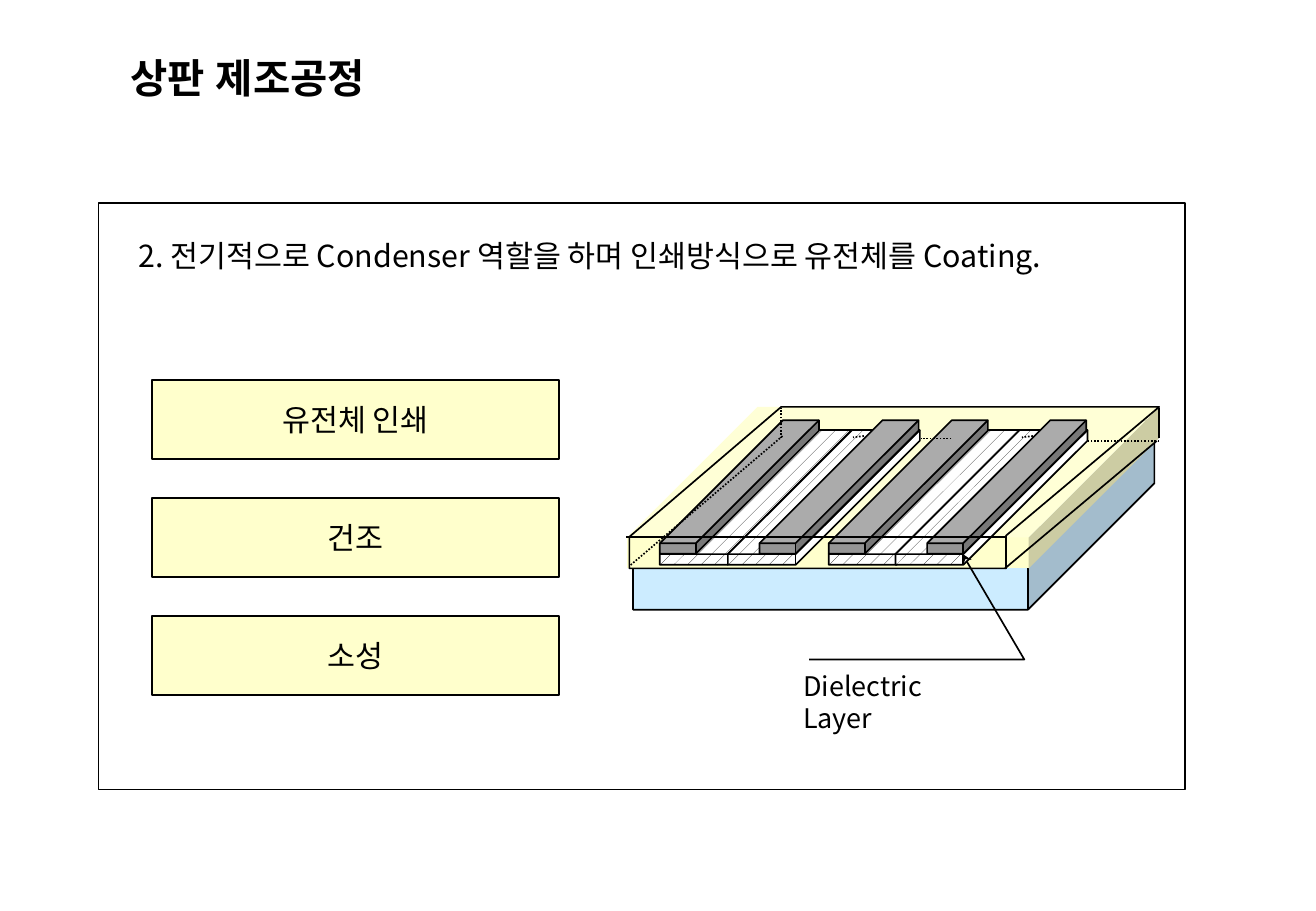
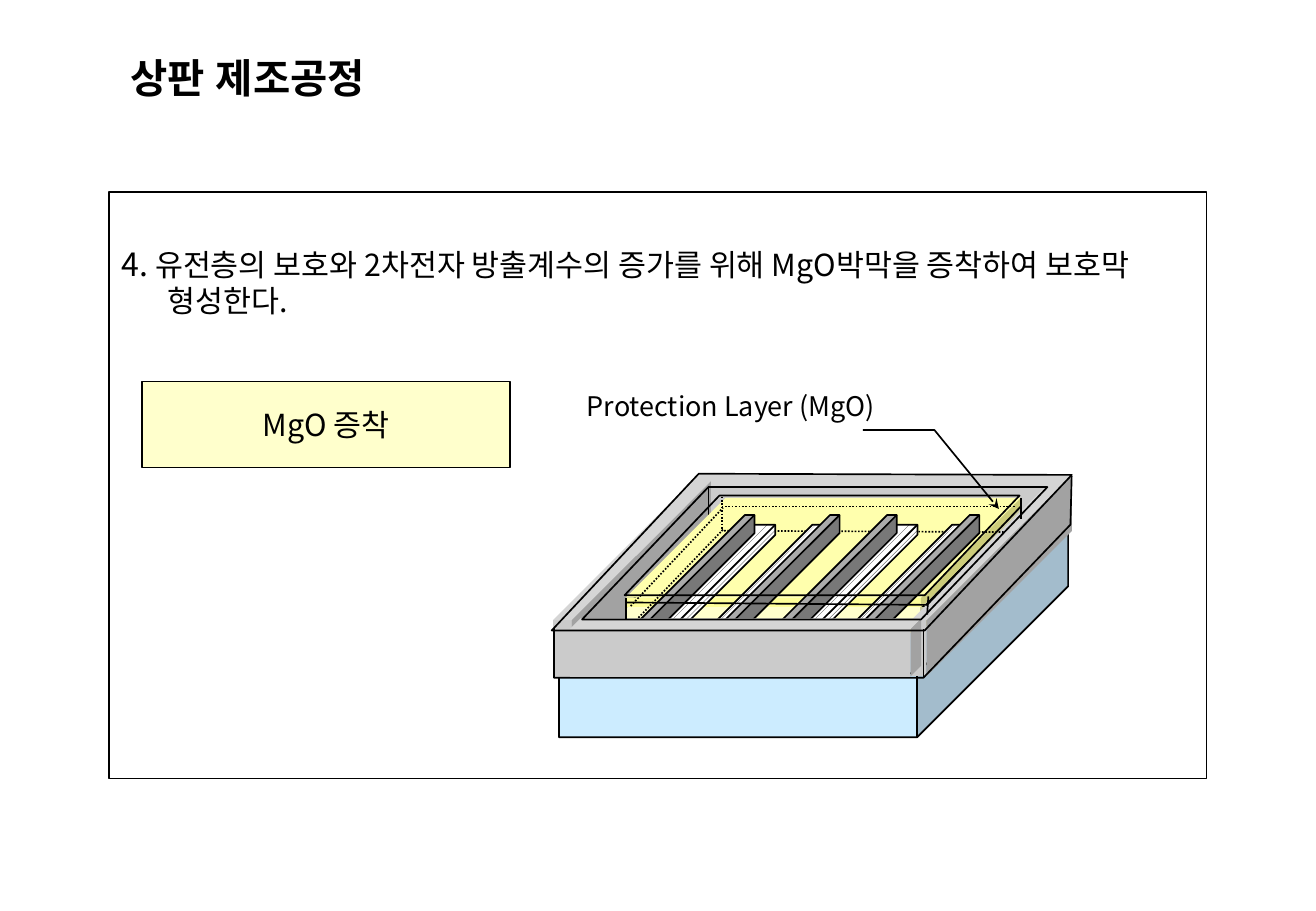
from lxml import etree
from pptx import Presentation
from pptx.dml.color import RGBColor
from pptx.enum import dml, shapes, text
from pptx.oxml import ns
from pptx.util import Inches, Pt

BLACK = RGBColor(0x00, 0x00, 0x00)
WHITE = RGBColor(0xFF, 0xFF, 0xFF)
GLASS = RGBColor(0xCC, 0xEC, 0xFF)
CREAM = RGBColor(0xFF, 0xFF, 0xCC)
YELLOW = RGBColor(0xFF, 0xFF, 0x99)
GREY = RGBColor(0x96, 0x96, 0x96)
SILVER = RGBColor(0xCB, 0xCB, 0xCB)
FONT = "Noto Sans CJK KR"
TITLE = "상판 제조공정"
SLANT = 0.921


def sub(node, tag, **atts):
    return etree.SubElement(node, ns.qn(tag), **atts)


def style(para, size, name=FONT, bold=False):
    """Format a paragraph, its Korean letters included."""
    font = para.font
    font.size, font.bold, font.name = Pt(size), bold, name
    font.color.rgb = BLACK
    sub(para._p.pPr.find(ns.qn("a:defRPr")), "a:ea", typeface=name)


def pen(line, dots=False):
    line.color.rgb = BLACK
    line.width = Pt(1)
    if dots:
        line.dash_style = dml.MSO_LINE.ROUND_DOT


def start(prs):
    slide = prs.slides.add_slide(prs.slide_layouts[5])
    title = slide.shapes.title
    title.left, title.top = Inches(0.97), Inches(0.39)
    title.width, title.height = Inches(9.23), Inches(0.61)
    frame = title.text_frame
    frame.text = TITLE
    frame.vertical_anchor = text.MSO_ANCHOR.TOP
    para = frame.paragraphs[0]
    para.alignment = text.PP_ALIGN.LEFT
    style(para, 24, "Arial", True)
    return slide


def solid(slide, kind, area, fill, edge=True):
    """Add a preset shape; without a fill it stays open."""
    shape = slide.shapes.add_shape(kind, *map(Inches, area))
    shape.shadow.inherit = False
    if fill is None:
        shape.fill.background()
    else:
        shape.fill.solid()
        shape.fill.fore_color.rgb = fill
    if edge:
        pen(shape.line)
    else:
        shape.line.fill.background()
    return shape


def panel(slide, *area):
    solid(slide, shapes.MSO_SHAPE.RECTANGLE, area, None)


def step(slide, words, *area):
    box = solid(slide, shapes.MSO_SHAPE.RECTANGLE, area, CREAM)
    frame = box.text_frame
    frame.word_wrap = False
    frame.vertical_anchor = text.MSO_ANCHOR.MIDDLE
    frame.text = words
    para = frame.paragraphs[0]
    para.alignment = text.PP_ALIGN.CENTER
    style(para, 18)


def cube(slide, area, depth, fill, edge=False):
    shape = solid(slide, shapes.MSO_SHAPE.CUBE, area, fill, edge)
    shape.adjustments[0] = depth
    return shape


def strip(slide, *area):
    """Add a dotted transparent electrode."""
    fill = cube(slide, area, SLANT, WHITE, True).fill
    fill.patterned()
    fill.pattern = dml.MSO_PATTERN.PERCENT_10
    fill.fore_color.rgb, fill.back_color.rgb = BLACK, WHITE


def bar(slide, *area):
    cube(slide, area, SLANT, GREY, True)


def rules(slide, ends, dots=False):
    """Add one straight line for each (x1, y1, x2, y2)."""
    for end in ends:
        line = slide.shapes.add_connector(
            shapes.MSO_CONNECTOR.STRAIGHT, *map(Inches, end))
        pen(line.line, dots)
        sub(line._element.spPr, "a:effectLst")


def trace(slide, *spots, arrow=False):
    """Draw an unfilled outline; the arrowhead sits on the first spot."""
    pts = [(Inches(x), Inches(y)) for x, y in spots]
    form = slide.shapes.build_freeform(*pts[0])
    form.add_line_segments(pts[1:], close=False)
    shape = form.convert_to_shape()
    shape.shadow.inherit = False
    shape.fill.background()
    pen(shape.line)
    if arrow:
        sub(shape.line._get_or_add_ln(), "a:headEnd", type="stealth")


def note(slide, words, area, size):
    box = slide.shapes.add_textbox(*map(Inches, area))
    frame = box.text_frame
    frame.word_wrap = True
    frame.text = words
    para = frame.paragraphs[0]
    style(para, size)
    return frame, para


def label(slide, words, *area):
    frame, _ = note(slide, words, area, 16)
    frame.margin_left = frame.margin_right = Inches(0.02)
    frame.margin_top = frame.margin_bottom = Inches(0.01)


def coat(prs):
    """Dielectric printing slide."""
    slide = start(prs)
    panel(slide, 0.81, 1.67, 8.94, 4.83)
    note(slide, "2. 전기적으로 Condenser 역할을 하며 인쇄방식으로 유전체를 Coating.",
         (1.04, 1.9, 8.64, 0.83), 18)
    cube(slide, (5.21, 3.46, 4.29, 1.56), 0.667, GLASS, True)
    label(slide, "Dielectric\vLayer", 6.59, 5.5, 1.59, 0.56)
    cube(slide, (5.16, 3.35, 4.38, 1.33), 0.808, CREAM)
    for x in (5.43, 5.99, 6.82, 7.37):
        strip(slide, x, 3.54, 1.58, 1.11)
    for x in (5.43, 6.25, 6.82, 7.63):
        bar(slide, x, 3.46, 1.31, 1.1)
    rules(slide, [(9.54, 3.61, 9.54, 3.36), (9.52, 3.63, 8.27, 4.68),
                  (8.27, 4.42, 5.15, 4.42)])
    rules(slide, [(6.44, 3.59, 5.18, 4.66), (6.43, 3.61, 6.43, 3.36),
                  (9.54, 3.63, 8.95, 3.63), (7.83, 3.61, 7.58, 3.61),
                  (7.11, 3.59, 7.02, 3.6), (8.5, 3.59, 8.41, 3.6)], True)
    trace(slide, (7.92, 4.56), (8.43, 5.43), (6.66, 5.43), arrow=True)
    trace(slide, (9.54, 3.35), (8.28, 4.41), (8.28, 4.68), (5.18, 4.68),
          (5.18, 4.42), (6.43, 3.35), (9.54, 3.35))
    for i, words in enumerate(("유전체 인쇄", "건조", "소성")):
        step(slide, words, 1.25, 3.13 + 0.97 * i, 3.35, 0.65)


def wall(slide):
    """Glass plate, frame and the lower yellow layer."""
    cube(slide, (4.6, 4.3, 4.19, 1.77), 0.702, GLASS, True)
    cube(slide, (5.64, 3.91, 3.07, 0.41), 0.236, SILVER)
    cube(slide, (4.55, 3.96, 1.3, 1.61), 0.882, SILVER)
    cube(slide, (5.15, 4.17, 3.24, 1.04), 0.786, CREAM)
    rules(slide, [(7.54, 5.14, 5.03, 5.12), (5.15, 5, 5.92, 4.17),
                  (8.41, 4.16, 5.91, 4.17)])
    cube(slide, (7.5, 3.91, 1.32, 1.66), 0.906, SILVER)
    trace(slide, (8.82, 3.92), (8.81, 4.32), (7.6, 5.58), (4.56, 5.58),
          (4.56, 5.17))
    rules(slide, [(7.6, 5.58, 7.6, 5.18), (5.83, 4, 5.83, 4.27),
                  (5.15, 4.98, 7.61, 4.99), (7.62, 4.98, 8.39, 4.18)])


def layer(slide):
    """Yellow protection layer with electrodes and the front wall."""
    cube(slide, (5.15, 4.1, 3.25, 0.9), 0.912, YELLOW)
    rules(slide, [(8.26, 4.38, 5.94, 4.37)], True)
    for x in (5.2, 5.71, 6.37, 6.86):
        strip(slide, x, 4.32, 1.18, 1.06)
    for x in (5.21, 5.91, 6.38, 7.06):
        bar(slide, x, 4.24, 1, 1.07)
    rules(slide, [(5.94, 4.09, 5.94, 4.37), (5.95, 4.36, 5.25, 5.09)], True)
    cube(slide, (4.69, 5.09, 2.89, 0.48), 0.184, SILVER)
    trace(slide, (8.82, 3.91), (7.61, 5.19), (4.54, 5.19), (5.75, 3.9),
          (8.82, 3.91))
    trace(slide, (8.62, 4.01), (5.83, 4.01), (4.79, 5.1), (7.58, 5.1),
          (8.62, 4.01))
    rules(slide, [(5.19, 4.99, 5.95, 4.18), (5.94, 4.17, 8.36, 4.17)], True)
    rules(slide, [(8.4, 4.1, 8.4, 4.27), (7.64, 4.91, 7.63, 5.06),
                  (5.15, 4.92, 5.15, 5.1)])
    trace(slide, (8.4, 4.17), (7.63, 4.98), (5.16, 4.96))
    trace(slide, (8.39, 4.08), (5.92, 4.08), (5.14, 4.9), (7.61, 4.9),
          (8.39, 4.08))


def guard(prs):
    """MgO protection slide."""
    slide = start(prs)
    panel(slide, 0.9, 1.58, 9.03, 4.83)
    wall(slide)
    layer(slide)
    trace(slide, (8.22, 4.19), (7.69, 3.54), (7.1, 3.54), arrow=True)
    label(slide, "Protection Layer (MgO)", 4.81, 3.2, 3.46, 0.29)
    step(slide, "MgO 증착", 1.17, 3.14, 3.03, 0.71)
    _, para = note(slide, "4. ", (0.9, 1.96, 9, 1.04), 18)
    para.runs[0].font.size = Pt(19)
    para.add_run().text = ("유전층의 보호와 2차전자 방출계수의 증가를 위해 "
                           "MgO박막을 증착하여 보호막 형성한다.")
    para._p.pPr.set("marL", str(Inches(0.38)))
    para._p.pPr.set("indent", str(-Inches(0.38)))


def main():
    prs = Presentation()
    prs.slide_width, prs.slide_height = Inches(10.83), Inches(7.5)
    coat(prs)
    guard(prs)
    prs.save("out.pptx")


if __name__ == "__main__":
    main()
